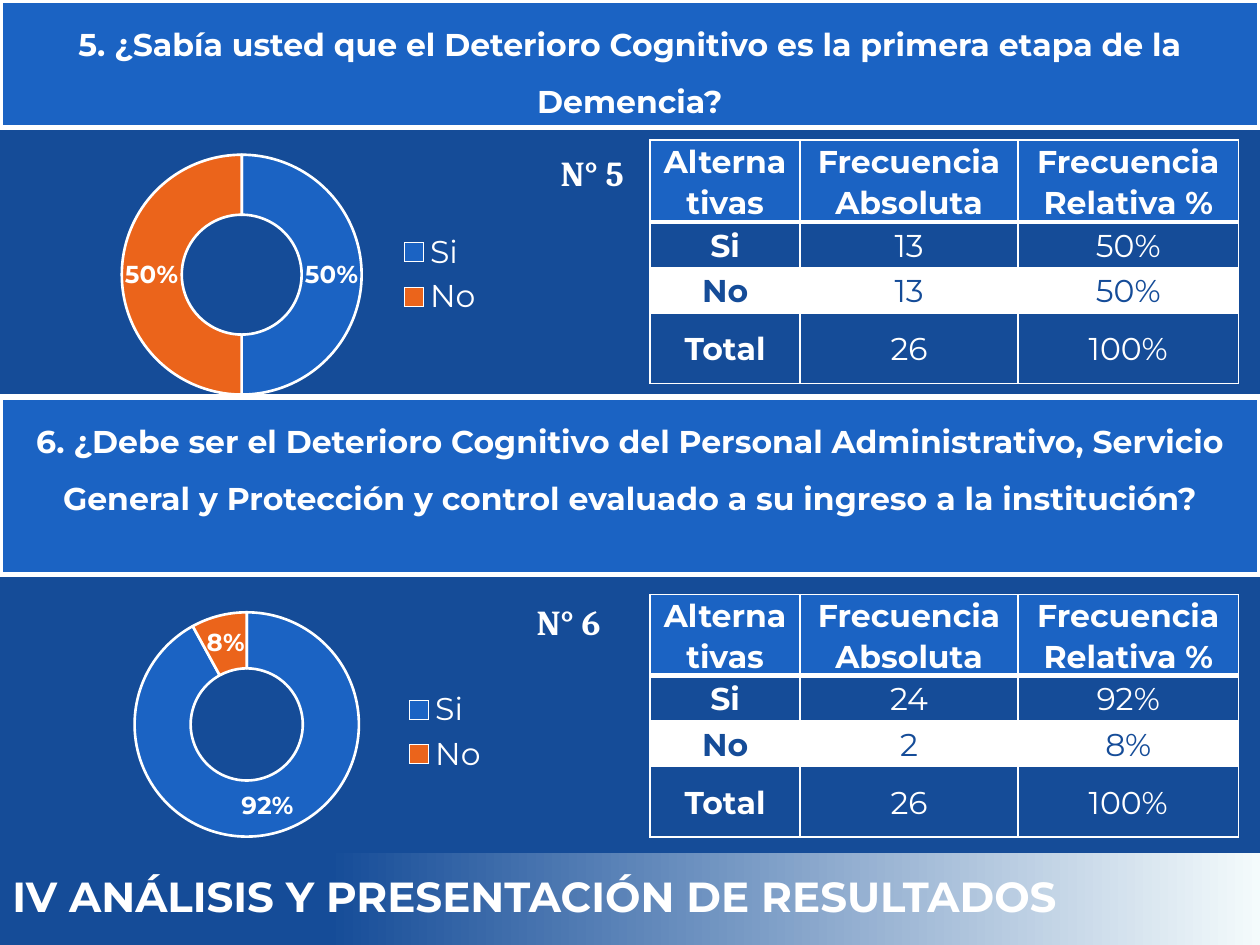
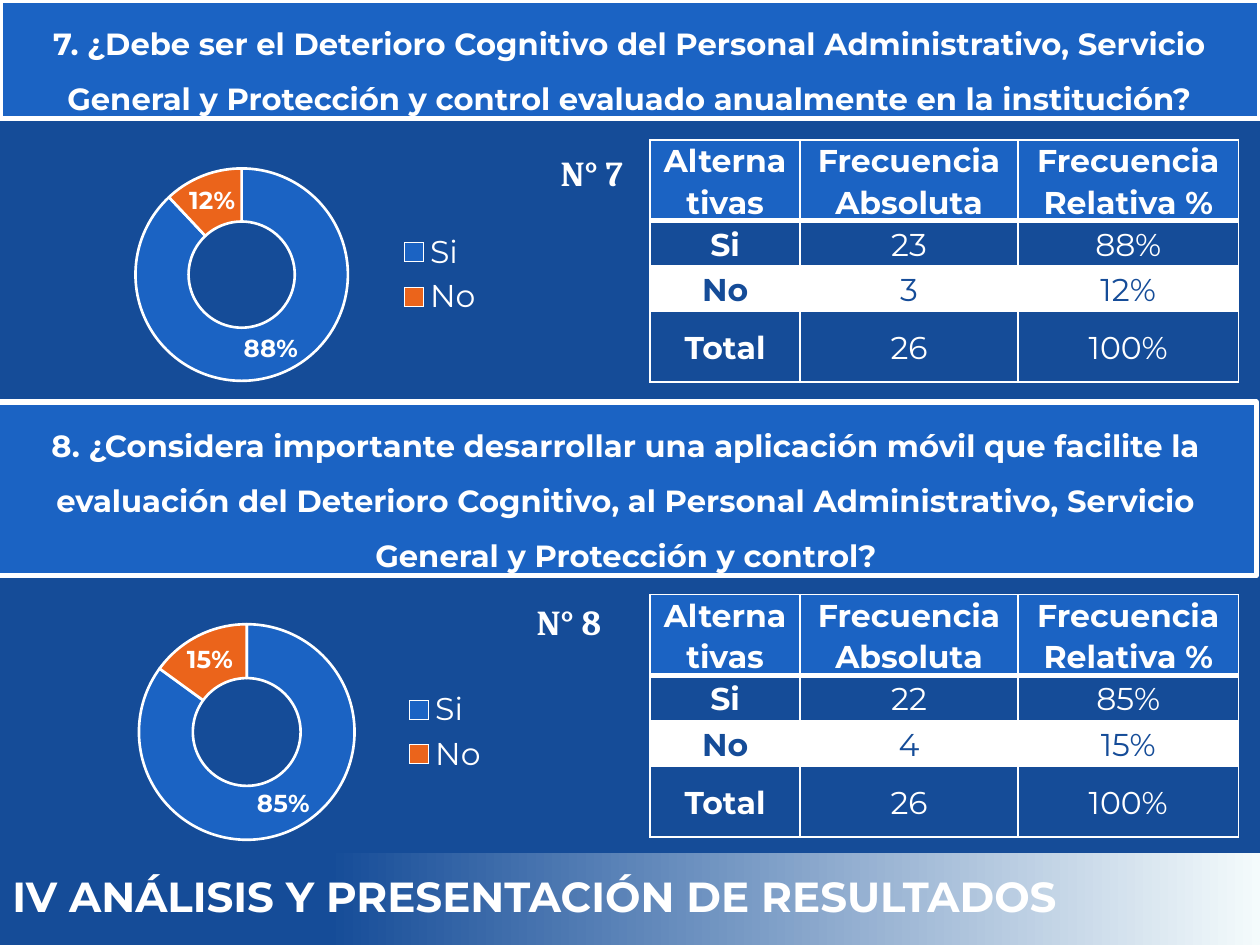
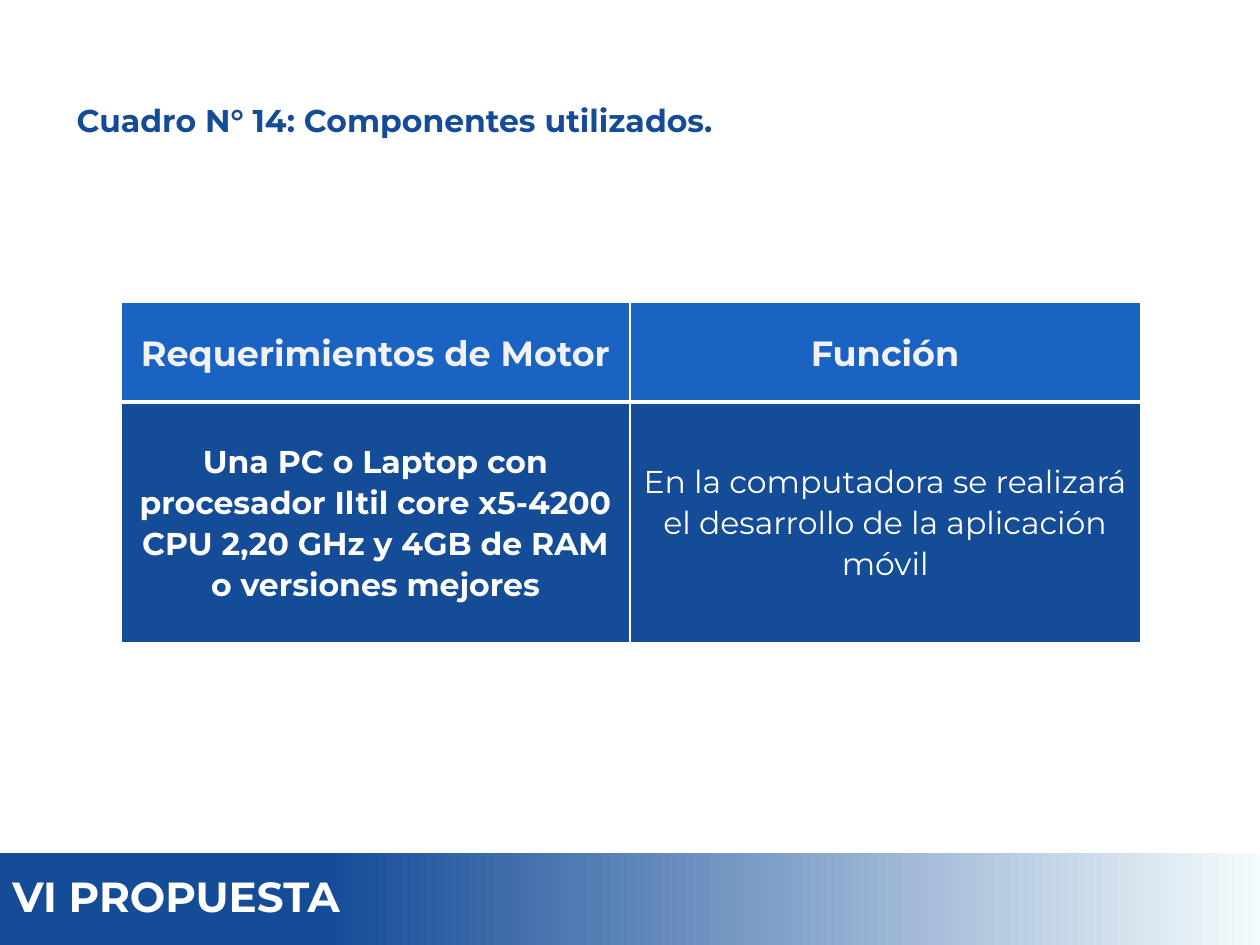
from pptx import Presentation
from pptx.chart.data import CategoryChartData
from pptx.dml.color import RGBColor
from pptx.enum import chart as ch, shapes, text
from pptx.oxml import parse_xml
from pptx.oxml.ns import nsdecls
from pptx.util import Inches, Pt

# Shared colours and fonts
NAVY = RGBColor(0x15, 0x4C, 0x98)
BLUE = RGBColor(0x1B, 0x63, 0xC3)
ORANGE = RGBColor(0xEB, 0x64, 0x1B)
PALE = RGBColor(0xF4, 0xFB, 0xFC)
GREY = RGBColor(0xF2, 0xF2, 0xF2)
WHITE = RGBColor(0xFF, 0xFF, 0xFF)
SANS, SERIF = "Montserrat", "Cambria"
CENTER = text.PP_ALIGN.CENTER
MIDDLE, TOP = text.MSO_ANCHOR.MIDDLE, text.MSO_ANCHOR.TOP

# Layout of the upper and lower survey halves: chart, number, table
HALVES = [((0.71, 1.09), (4.35, 1.15), (5.16, 1.11)),
          ((0.75, 4.72), (4.16, 4.72), (5.16, 4.72))]
HEAD = ["Alternativas", "Frecuencia Absoluta", "Frecuencia Relativa %"]
TOTAL = 26
RESULTS = "IV ANÁLISIS Y PRESENTACIÓN DE RESULTADOS"

# Per slide: text size, then number, banner box, question, count of "Si"
SURVEY = [
    (18, [
        (5, (0, 0, 10, 1.01),
         "¿Sabía usted que el Deterioro Cognitivo es la primera etapa de la "
         "Demencia?", 13),
        (6, (0, 3.15, 10, 1.41),
         "¿Debe ser el Deterioro Cognitivo del Personal Administrativo, "
         "Servicio General y Protección y control evaluado a su ingreso a la "
         "institución?", 24)]),
    (17.5, [
        (7, (0, 0, 10, 0.94),
         "¿Debe ser el Deterioro Cognitivo del Personal Administrativo, "
         "Servicio General y Protección y control evaluado anualmente en la "
         "institución?", 23),
        (8, (-0.03, 3.19, 10, 1.38),
         "¿Considera importante desarrollar una aplicación móvil que facilite "
         "la evaluación del Deterioro Cognitivo, al Personal Administrativo, "
         "Servicio General y Protección y control?", 22)]),
]


def style(font, size, color=WHITE, bold=True, name=SANS):
    font.size, font.bold, font.name = Pt(size), bold, name
    font.color.rgb = color


def write(frame, words, size, color=WHITE, bold=True, name=SANS):
    para = frame.paragraphs[0]
    para.text = words
    style(para.font, size, color, bold, name)
    return para


def add_page(deck, color):
    page = deck.slides.add_slide(deck.slide_layouts[6])
    page.background.fill.solid()
    page.background.fill.fore_color.rgb = color
    return page


def add_rect(page, box, anchor):
    rect = page.shapes.add_shape(shapes.MSO_SHAPE.RECTANGLE,
                                 *map(Inches, box))
    rect.shadow.inherit = False
    rect.text_frame.word_wrap = True
    rect.text_frame.vertical_anchor = anchor
    return rect


def add_banner(page, box, words, size):
    rect = add_rect(page, box, TOP)
    rect.fill.solid()
    rect.fill.fore_color.rgb = BLUE
    rect.line.color.rgb = WHITE
    rect.line.width = Pt(3)
    para = write(rect.text_frame, words, size)
    para.alignment, para.line_spacing = CENTER, 1.5


def add_footer(page, words):
    rect = add_rect(page, (0, 6.77, 10, 0.73), MIDDLE)
    rect.line.fill.background()
    rect.fill.gradient()
    rect.fill.gradient_angle = 180
    stops = zip(rect.fill.gradient_stops, (PALE, NAVY), (0, 0.74))
    for stop, color, pos in stops:
        stop.color.rgb, stop.position = color, pos
    para = write(rect.text_frame, words, 24)
    para.alignment, para.line_spacing = text.PP_ALIGN.LEFT, 0.9


def add_label(page, box, words, size, color, name, wrap=True, anchor=TOP):
    frame = page.shapes.add_textbox(*map(Inches, box)).text_frame
    frame.word_wrap, frame.vertical_anchor = wrap, anchor
    write(frame, words, size, color, name=name)


def add_edges(cell, **widths):
    """Draw white borders; the fill has to follow them in the XML."""
    props = cell._tc.get_or_add_tcPr()
    for side in "LRTB":
        width = Pt(widths.get(side, 1))
        props.append(parse_xml(
            f'<a:ln{side} {nsdecls("a")} w="{width}"><a:solidFill>'
            f'<a:srgbClr val="{WHITE}"/></a:solidFill></a:ln{side}>'))


def add_grid(page, spot, cols, heights, rows, fills, inks, sizes):
    """Table with a bold header row and a bold first column."""
    frame = page.shapes.add_table(len(rows), len(cols), *map(
        Inches, (*spot, sum(cols), sum(heights))))
    table = frame.table
    table.horz_banding = False
    for col, width in zip(table.columns, cols):
        col.width = Inches(width)
    for r, words in enumerate(rows):
        table.rows[r].height = Inches(heights[r])
        for c, word in enumerate(words):
            cell = table.cell(r, c)
            add_edges(cell, B=3 if r == 0 else 1, T=3 if r == 1 else 1)
            if fills[r] is None:
                cell.fill.background()
            else:
                cell.fill.solid()
                cell.fill.fore_color.rgb = fills[r]
            cell.vertical_anchor = MIDDLE
            cell.margin_left = cell.margin_right = Inches(0.07)
            cell.margin_top = cell.margin_bottom = 0
            para = write(cell.text_frame, word, sizes[r], inks[r],
                         r == 0 or c == 0)
            para.alignment, para.line_spacing = CENTER, 1.07
            para.space_after = Pt(8)


def add_ring(page, spot, shares):
    data = CategoryChartData(number_format="0%")
    data.categories = ["Si", "No"]
    data.add_series("Series 1", shares)
    chart = page.shapes.add_chart(
        ch.XL_CHART_TYPE.DOUGHNUT, *map(Inches, (*spot, 3.23, 2.18)),
        data).chart
    chart.font.size, chart.font.name = Pt(10), SERIF
    chart.has_title = False
    chart.has_legend = True
    chart.legend.position = ch.XL_LEGEND_POSITION.RIGHT
    chart.legend.include_in_layout = False
    style(chart.legend.font, 18, bold=False)
    plot = chart.plots[0]
    plot.vary_by_categories = True
    for i, color in enumerate((BLUE, ORANGE)):
        form = plot.series[0].points[i].format
        form.fill.solid()
        form.fill.fore_color.rgb = color
        form.line.color.rgb = WHITE
        form.line.width = Pt(1.5)
    labels = plot.series[0].data_labels
    labels.show_value, labels.show_percentage = True, False
    labels.number_format, labels.number_format_is_linked = "0%", False
    style(labels.font, 14)


def add_half(page, half, size, number, box, question, yes):
    ring, label, grid = half
    counts = [yes, TOTAL - yes]
    shares = [round(n / TOTAL, 2) for n in counts]
    rows = [HEAD] + [[name, str(n), f"{share:.0%}"] for name, n, share in
                     zip(("Si", "No", "Total"), counts + [TOTAL],
                         shares + [1])]
    add_banner(page, box, f"{number}. {question}", size)
    add_grid(page, grid, (1.19, 1.73, 1.75), (0.64, 0.36, 0.36, 0.56), rows,
             (BLUE, NAVY, WHITE, None), (WHITE, WHITE, NAVY, WHITE), [18] * 4)
    add_ring(page, ring, shares)
    add_label(page, (*label, 0.81, 0.44), f"N° {number}", 20, WHITE, SERIF)


def main():
    deck = Presentation()
    deck.slide_width, deck.slide_height = Inches(10), Inches(7.5)

    # Survey results, two questions a slide
    for size, (upper, lower) in SURVEY:
        page = add_page(deck, NAVY)
        add_half(page, HALVES[0], size, *upper)
        add_footer(page, RESULTS)
        add_half(page, HALVES[1], size, *lower)

    # Components of the proposal
    page = add_page(deck, WHITE)
    add_footer(page, "VI PROPUESTA")
    add_label(page, (0.51, 0.75, 5.55, 0.4),
              "Cuadro N° 14: Componentes utilizados.", 18, NAVY, SANS,
              False, MIDDLE)
    rows = [["Requerimientos de Motor", "Función"],
            ["Una PC o Laptop con procesador Iltil core x5-4200 CPU 2,20 GHz "
             "y 4GB de RAM o versiones mejores",
             "En la computadora se realizará el desarrollo de la aplicación "
             "móvil"]]
    add_grid(page, (0.96, 2.4), (4.04, 4.05), (0.79, 1.91), rows,
             (BLUE, NAVY), (GREY, WHITE), (20, 18))

    deck.save("out.pptx")


if __name__ == "__main__":
    main()
